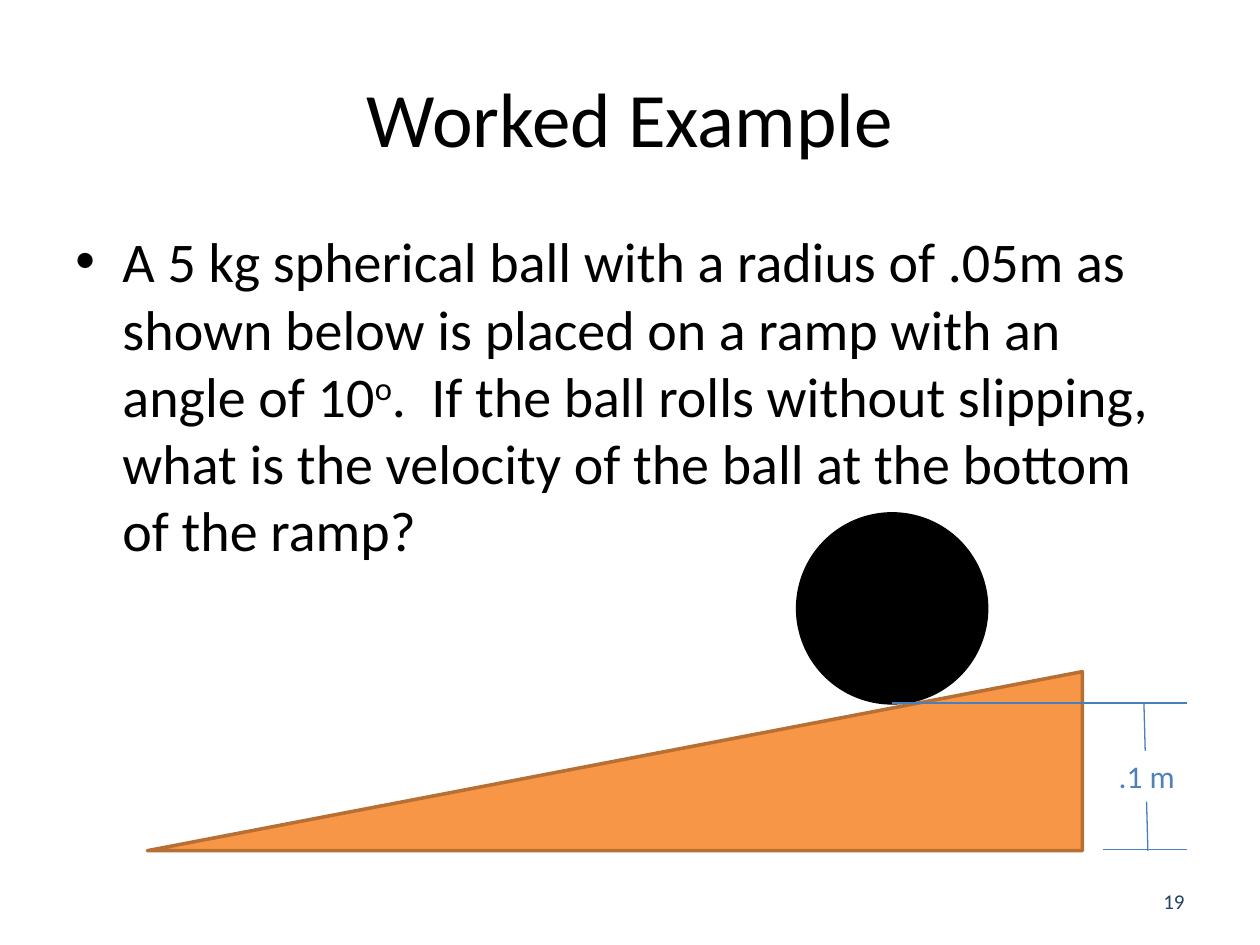
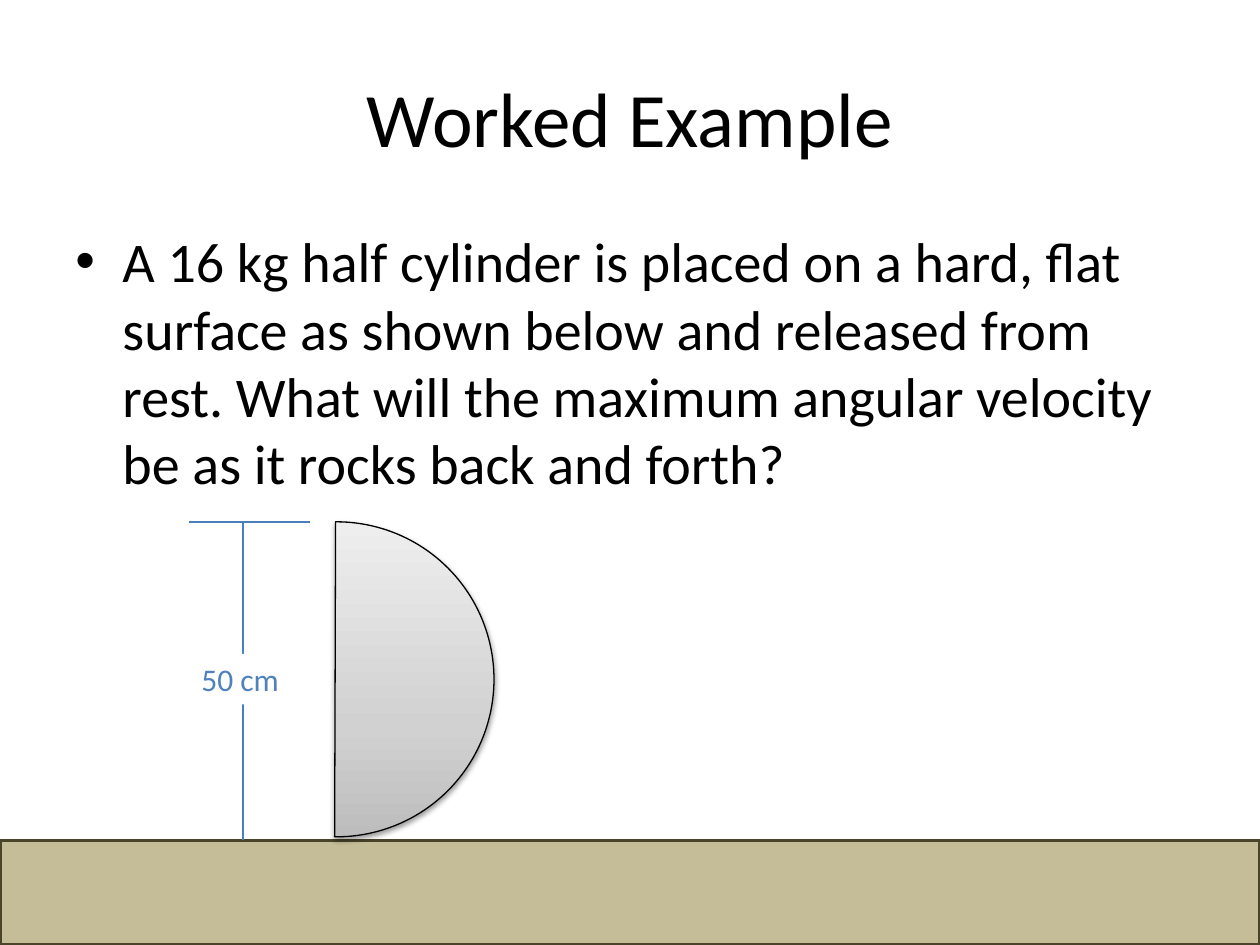
from lxml import etree
from pptx import Presentation
from pptx import util as u
from pptx.dml.color import RGBColor
from pptx.enum import shapes, text
from pptx.oxml import parse_xml
from pptx.oxml.ns import nsdecls, qn

BLACK, WHITE, LINE_BLUE, LABEL_BLUE = "000000", "FFFFFF", "4B7EBC", "4F81BD"
LEFT, WIDTH = 1.27, 22.86


def rgb(value):
    return RGBColor.from_string(value)


def add_text(slide, box, runs, size, color, align=text.PP_ALIGN.LEFT,
             anchor=text.MSO_ANCHOR.TOP, wrap=True, bullet=False):
    """Add a one-paragraph text box; runs are (text, is_superscript) pairs."""
    sp = slide.shapes.add_textbox(*map(u.Cm, box))
    tf = sp.text_frame
    tf.word_wrap, tf.vertical_anchor = wrap, anchor
    p = tf.paragraphs[0]
    p.alignment = align
    if bullet:
        pPr = p._p.get_or_add_pPr()
        pPr.set("marL", str(u.Cm(0.95)))
        pPr.set("indent", str(-u.Cm(0.95)))
        etree.SubElement(pPr, qn("a:buFont")).set("typeface", "Arial")
        etree.SubElement(pPr, qn("a:buChar")).set("char", "•")
    for words, superscript in runs:
        r = p.add_run()
        r.text = words
        r.font.name, r.font.size = "Calibri", u.Pt(size)
        r.font.color.rgb = rgb(color)
        if superscript:
            r.font._element.set("baseline", "30000")
    return sp


prs = Presentation()
prs.slide_width, prs.slide_height = u.Cm(25.4), u.Cm(19.05)

# Title and question on each slide
questions = [
    (6.35, [("A 5 kg spherical ball with a radius of .05m as shown below is placed "
             "on a ramp with an angle of 10", False),
            ("o", True),
            (".  If the ball rolls without slipping, what is the velocity of the "
             "ball at the bottom of the ramp?", False)]),
    (5.28, [("A 16 kg half cylinder is placed on a hard, flat surface as shown below "
             "and released from rest. What will the maximum angular velocity be as "
             "it rocks back and forth?", False)]),
]
slides = []
for height, runs in questions:
    s = prs.slides.add_slide(prs.slide_layouts[6])
    add_text(s, (LEFT, 0.76, WIDTH, 3.18), [("Worked Example", False)], 44, BLACK,
             text.PP_ALIGN.CENTER, text.MSO_ANCHOR.MIDDLE)
    add_text(s, (LEFT, 4.45, WIDTH, height), runs, 32, BLACK, bullet=True)
    slides.append(s)
ramp_slide, rocking_slide = slides

add_text(ramp_slide, (18.21, 17.65, 5.92, 1.02), [("19", False)], 12, "254061",
         text.PP_ALIGN.RIGHT, text.MSO_ANCHOR.MIDDLE)

# Bodies: slide, preset, adjustments, box, fill (None for the gradient), line, width
kind = shapes.MSO_SHAPE
bodies = [
    (ramp_slide, kind.ISOSCELES_TRIANGLE, [1], (2.97, 13.54, 18.85, 3.61),
     "F79646", "B76F34", 2),
    (ramp_slide, kind.OVAL, [], (16.08, 10.36, 3.81, 3.81), BLACK, BLACK, 2),
    (rocking_slide, kind.RECTANGLE, [], (0, 16.94, 25.4, 2.11),
     "C4BD97", "4A452A", 2),
    (rocking_slide, kind.CHORD, [161.8, 54.41], (3.61, 10.52, 6.35, 6.35),
     None, BLACK, 0.75),
]
for s, preset, adjustments, box, fill, line, width in bodies:
    sp = s.shapes.add_shape(preset, *map(u.Cm, box))
    sp.shadow.inherit = False
    for i, value in enumerate(adjustments):
        sp.adjustments[i] = value
    sp.line.color.rgb, sp.line.width = rgb(line), u.Pt(width)
    if fill:
        sp.fill.solid()
        sp.fill.fore_color.rgb = rgb(fill)
half_cylinder = sp

# Grey gradient, darker towards the ground, and a soft shadow
half_cylinder.fill.gradient()
half_cylinder.fill.gradient_angle = 90
spPr = half_cylinder._element.spPr
stops = spPr.find(".//" + qn("a:gsLst"))
for stop in list(stops):
    stops.remove(stop)
for percent, color in [(0, "BDBDBD"), (35, "D1D1D1"), (100, "EEEEEE")]:
    stop = etree.SubElement(stops, qn("a:gs"), pos=str(percent * 1000))
    etree.SubElement(stop, qn("a:srgbClr"), val=color)
spPr.find(qn("a:effectLst")).append(parse_xml(
    f'<a:outerShdw {nsdecls("a")} blurRad="{u.Pt(3.1)}" dist="{u.Pt(1.6)}" '
    'dir="5400000" rotWithShape="0"><a:srgbClr val="000000">'
    '<a:alpha val="38000"/></a:srgbClr></a:outerShdw>'))

# Dimensions: slide, lines (x1, y1, x2, y2), label, label box
dimensions = [
    (ramp_slide,
     [(23.93, 14.17, 17.98, 14.17), (23.93, 17.12, 22.23, 17.12),
      (23.14, 17.15, 23.06, 14.17)],
     ".1 m", (22.3, 15.14, 1.65, 1.02)),
    (rocking_slide,
     [(6.25, 10.52, 3.81, 10.52), (4.9, 16.94, 4.9, 10.52)],
     "50 cm", (3.81, 13.18, 2.08, 1.02)),
]
for s, lines, label, box in dimensions:
    for ends in lines:
        c = s.shapes.add_connector(shapes.MSO_CONNECTOR.STRAIGHT, *map(u.Cm, ends))
        c.line.color.rgb, c.line.width = rgb(LINE_BLUE), u.Pt(0.75)
        etree.SubElement(c._element.spPr, qn("a:effectLst"))
    sp = add_text(s, box, [(label, False)], 18, LABEL_BLUE, wrap=False)
    sp.text_frame.auto_size = text.MSO_AUTO_SIZE.SHAPE_TO_FIT_TEXT
    sp.fill.solid()
    sp.fill.fore_color.rgb = rgb(WHITE)

prs.save("out.pptx")
